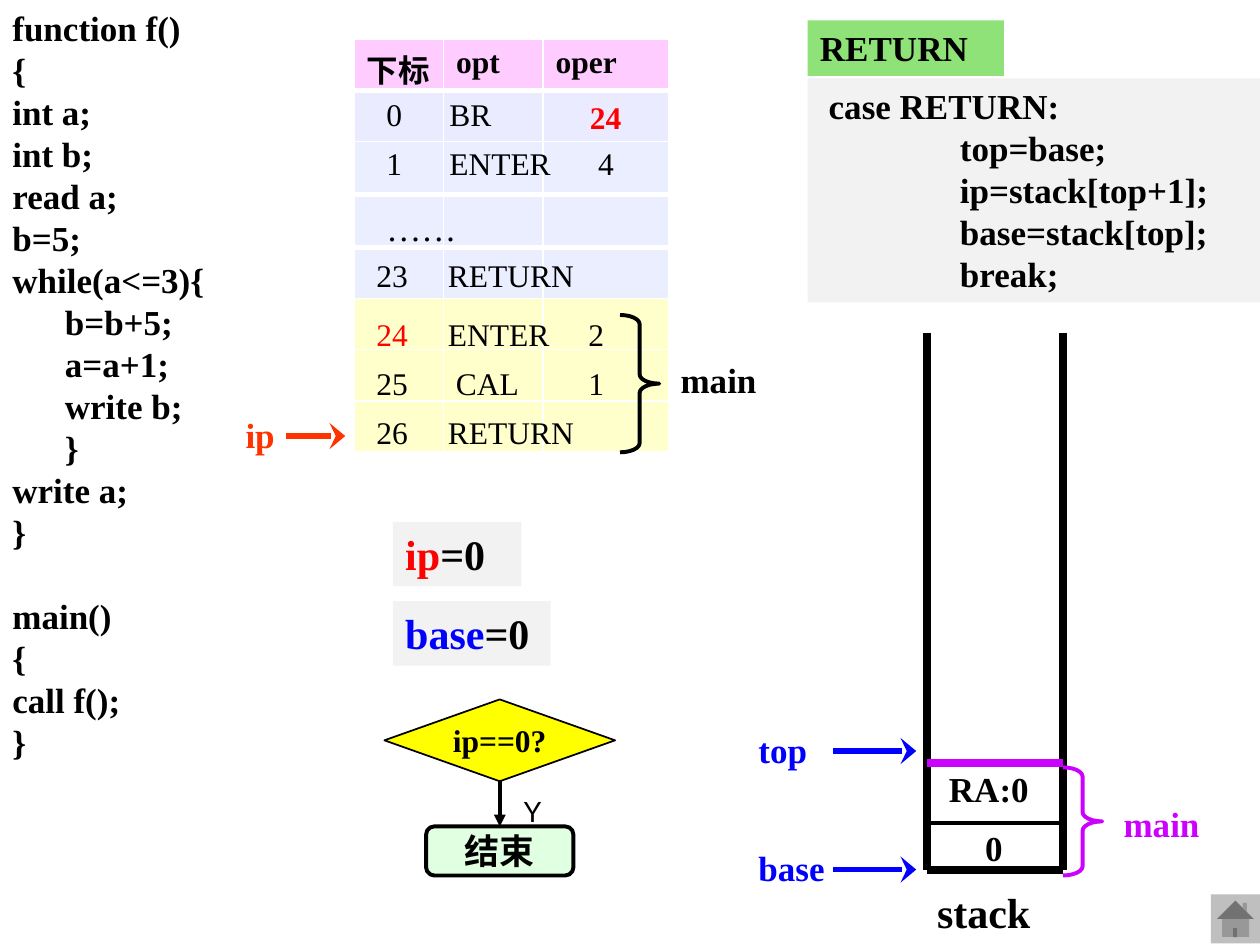
from lxml.etree import SubElement
from pptx import Presentation
from pptx.dml.color import RGBColor
from pptx.enum.shapes import MSO_CONNECTOR, MSO_SHAPE as SHAPE
from pptx.enum.text import MSO_ANCHOR as ANCHOR, PP_ALIGN as ALIGN
from pptx.oxml import parse_xml
from pptx.oxml.ns import nsdecls, qn
from pptx.util import Cm, Pt

COLORS = {
    "black": "000000", "white": "FFFFFF", "red": "FF0000", "orange": "FF3300",
    "blue": "0000FF", "purple": "CC00FF", "panel": "F2F2F2", "green": "8FE278",
    "yellow": "FFFF00", "mint": "E1FFE1", "gray": "BFBFBF", "header": "FFCCFF",
    "lilac": "EBEBFF", "sky": "EBEEFF", "cream": "FFFFCC",
}
FONT = "Times New Roman"

SOURCE_CODE = """function f()
{
int a;
int b;
read a;
b=5;
while(a<=3){
      b=b+5;
      a=a+1;
      write b;
      }
write a;
}
main()
{
call f();
}"""
RETURN_CODE = """ case RETURN:
                top=base;
                ip=stack[top+1];
                base=stack[top];
                break;"""


def rgb(name):
    return RGBColor.from_string(COLORS[name])


def style_font(font, color="black", size=20, bold=True, name=FONT):
    font.name, font.size, font.bold = name, Pt(size), bold
    font.color.rgb = rgb(color)


def write(shape, runs, size=20, bold=True, align=ALIGN.LEFT, inset=(0.25, 0.13),
          tabs=(), font=FONT, wrap=True, anchor=ANCHOR.TOP):
    """Fill a shape with one paragraph of (text, color) runs."""
    frame = shape.text_frame
    frame.word_wrap = wrap
    frame.vertical_anchor = anchor
    frame.margin_left = frame.margin_right = Cm(inset[0])
    frame.margin_top = frame.margin_bottom = Cm(inset[1])
    paragraph = frame.paragraphs[0]
    paragraph.alignment = align
    if tabs:
        tab_list = SubElement(paragraph._p.get_or_add_pPr(), qn("a:tabLst"))
        for position in tabs:
            SubElement(tab_list, qn("a:tab"), pos=str(Cm(position)), algn="l")
    for text, color in runs:
        run = paragraph.add_run()
        run.text = text
        style_font(run.font, color, size, bold, font)
    return paragraph


def write_code(shape, code):
    """Fill a shape with lines of code, one paragraph each."""
    frame = shape.text_frame
    frame.text = code
    frame.word_wrap = True
    frame.vertical_anchor = ANCHOR.TOP
    for paragraph in frame.paragraphs:
        paragraph.alignment = ALIGN.LEFT
        style_font(paragraph.font)


def add_text(slide, left, top, width, height, runs, **style):
    box = slide.shapes.add_textbox(Cm(left), Cm(top), Cm(width), Cm(height))
    return write(box, runs, **style)


def add_shape(slide, kind, left, top, width, height, fill=None, line=None, weight=2.25):
    shape = slide.shapes.add_shape(kind, Cm(left), Cm(top), Cm(width), Cm(height))
    shape.shadow.inherit = False
    if fill:
        shape.fill.solid()
        shape.fill.fore_color.rgb = rgb(fill)
    else:
        shape.fill.background()
    if line:
        shape.line.color.rgb = rgb(line)
        shape.line.width = Pt(weight)
    else:
        shape.line.fill.background()
    return shape


def add_line(slide, x1, y1, x2, y2, color, weight, head=None, head_width="med"):
    line = slide.shapes.add_connector(MSO_CONNECTOR.STRAIGHT, Cm(x1), Cm(y1), Cm(x2), Cm(y2))
    line.line.color.rgb = rgb(color)
    line.line.width = Pt(weight)
    if head:
        SubElement(line.line._get_or_add_ln(), qn("a:tailEnd"), type=head, w=head_width)
    SubElement(line._element.spPr, qn("a:effectLst"))
    return line


def add_pointer(slide, left, top, label, color, start, length):
    """A register name followed by an arrow."""
    add_text(slide, left, top, start, 0.86, [(label, color)], inset=(0, 0), wrap=False)
    add_line(slide, left + start, top + 0.46, left + start + length, top + 0.46,
             color, 3, "stealth", "lg")


def add_brace(slide, left, top, height, label_top, color):
    """A right brace with the label main."""
    brace = add_shape(slide, SHAPE.RIGHT_BRACE, left, top, 0.79, height, line=color)
    brace.adjustments[0] = 0.236
    paragraph = add_text(slide, left + 1.22, label_top, 1.96, 0.94, [("main", color)],
                         inset=(0, 0))
    paragraph.line_spacing = 1.1


def add_grid(slide, left, top, row_fills, titles=("", "", "")):
    """A three-column table with white rules; the first row has a thick lower rule."""
    widths, row_height = (1.8, 2.01, 2.54), 1.03
    table = slide.shapes.add_table(len(row_fills), 3, Cm(left), Cm(top), Cm(sum(widths)),
                                   Cm(row_height * len(row_fills))).table
    for column, width in zip(table.columns, widths):
        column.width = Cm(width)
    for r, fill in enumerate(row_fills):
        for c, title in enumerate(titles):
            cell = table.cell(r, c)
            properties = cell._tc.get_or_add_tcPr()
            for side in ("lnL", "lnR", "lnT", "lnB"):
                thick = (r, side) in ((0, "lnB"), (1, "lnT"))
                properties.append(parse_xml(
                    f'<a:{side} {nsdecls("a")} w="{Pt(3 if thick else 1)}"><a:solidFill>'
                    f'<a:srgbClr val="{COLORS["white"]}"/></a:solidFill></a:{side}>'))
            cell.fill.solid()
            cell.fill.fore_color.rgb = rgb(fill)
            if r == 0 and title:
                cell.text_frame.text = title
                style_font(cell.text_frame.paragraphs[0].runs[0].font, size=18)


def add_instructions(slide, left, top):
    """Instruction tables, with each instruction laid over its row."""
    add_grid(slide, left, top + 3.17, ["sky"] * 2 + ["cream"] * 3)
    add_grid(slide, left, top, ["header", "lilac", "sky"], ("下标", "opt", "oper"))
    plain = dict(size=18, bold=False)
    for y, text in ((0.99, "0\tBR"), (1.98, "1\tENTER\t4")):
        add_text(slide, left + 0.4, top + y, 5.94, 1.02, [(text, "black")],
                 tabs=(1.27, 4.27), **plain)
    add_text(slide, left + 4.37, top + 1.19, 1.4, 0.76, [("24", "red")],
             size=18, align=ALIGN.CENTER, inset=(0.25, 0))
    add_text(slide, left + 0.4, top + 3.38, 4.57, 0.86, [("……", "black")],
             bold=False, inset=(0.25, 0))
    rows = ((4.37, "23", "black", "\tRETURN", 1.44), (5.56, "24", "red", "\tENTER\t2", 1.44),
            (6.55, "25", "black", "\tCAL\t1", 1.6), (7.54, "26", "black", "\tRETURN", 1.44))
    for y, index, color, rest, tab in rows:
        add_text(slide, left + 0.2, top + y, 5.94, 0.76, [(index, color), (rest, "black")],
                 tabs=(tab, 4.27), inset=(0.25, 0), **plain)
    add_brace(slide, left + 5.36, top + 5.56, 2.77, top + 6.35, "black")
    add_pointer(slide, left - 2.19, top + 7.54, "ip", "orange", 0.82, 1.19)


def add_source(slide, left, top):
    box = slide.shapes.add_textbox(Cm(left), Cm(top), Cm(4.78), Cm(16.51))
    write_code(box, SOURCE_CODE)
    for paragraph in box.text_frame.paragraphs:
        if paragraph.text == "main()":
            paragraph.space_before = Pt(24)


def add_return_panel(slide, left, top):
    body = add_shape(slide, SHAPE.RECTANGLE, left, top + 1.17, 9.12, 4.52, "panel")
    write_code(body, RETURN_CODE)
    label = add_shape(slide, SHAPE.RECTANGLE, left, top, 3.96, 1.12, "green")
    write(label, [("RETURN", "black")])


def add_registers(slide, left, top):
    registers = (("ip", "red", 2.59), ("base", "blue", 3.18))
    for i, (name, color, width) in enumerate(registers):
        box = add_shape(slide, SHAPE.RECTANGLE, left, top + 1.6 * i, width, 1.3, "panel")
        write(box, [(name, color), ("=0", "black")], size=24)


def add_end_check(slide, left, top):
    decision = add_shape(slide, SHAPE.FLOWCHART_DECISION, left, top, 4.65, 1.65,
                         "yellow", "black", 1)
    write(decision, [("ip==0?", "black")], size=18, align=ALIGN.CENTER,
          inset=(0, 0), wrap=False, anchor=ANCHOR.MIDDLE)
    end = add_shape(slide, SHAPE.FLOWCHART_ALTERNATE_PROCESS, left + 0.84, top + 2.56,
                    2.97, 0.99, "mint", "black")
    write(end, [("结束", "black")], align=ALIGN.CENTER, inset=(0.25, 0),
          anchor=ANCHOR.MIDDLE)
    arrow = add_line(slide, left, top, left, top, "black", 2.25, "triangle")
    arrow.begin_connect(decision, 2)
    arrow.end_connect(end, 0)
    add_text(slide, left + 2.56, top + 1.78, 1.07, 0.94, [("Y", "black")],
             size=16, bold=False, font="Lato")


def add_stack(slide, left, top, width, height):
    right, bottom = left + width, top + height
    # Walls, floor and cell dividers
    for x in (left, right):
        add_line(slide, x, top, x, bottom, "black", 4.5)
    add_line(slide, left, bottom, right, bottom, "black", 4.5)
    add_line(slide, left, bottom - 0.94, right, bottom - 0.94, "black", 2.25)
    add_line(slide, left, bottom - 2.14, right, bottom - 2.14, "purple", 4.5)
    # Cell values and name
    for x, y, cell_width, value in ((-0.05, -2.06, 2.59, "RA:0"), (0.56, -0.87, 1.57, "0")):
        add_text(slide, left + x, bottom + y, cell_width, 0.86, [(value, "black")],
                 align=ALIGN.CENTER, inset=(0.25, 0))
    add_text(slide, left - 0.05, bottom + 0.22, 2.59, 1.3, [("stack", "black")], size=24)
    # Pointers and frame
    for y, name in ((-2.85, "top"), (-0.46, "base")):
        add_pointer(slide, left - 3.4, bottom + y, name, "blue", 1.5, 1.68)
    add_brace(slide, right, bottom - 2.06, 2.18, bottom - 1.43, "purple")


def main():
    presentation = Presentation()
    presentation.slide_width, presentation.slide_height = Cm(25.4), Cm(19.05)
    slide = presentation.slides.add_slide(presentation.slide_layouts[6])
    add_return_panel(slide, 16.28, 0.41)
    add_source(slide, 0, 0)
    add_stack(slide, 18.69, 6.71, 2.74, 10.82)
    add_instructions(slide, 7.14, 0.79)
    add_registers(slide, 7.92, 10.52)
    add_end_check(slide, 7.75, 14.1)
    add_shape(slide, SHAPE.ACTION_BUTTON_HOME, 24.41, 18.03, 0.99, 0.99, "gray")
    presentation.save("out.pptx")


if __name__ == "__main__":
    main()
